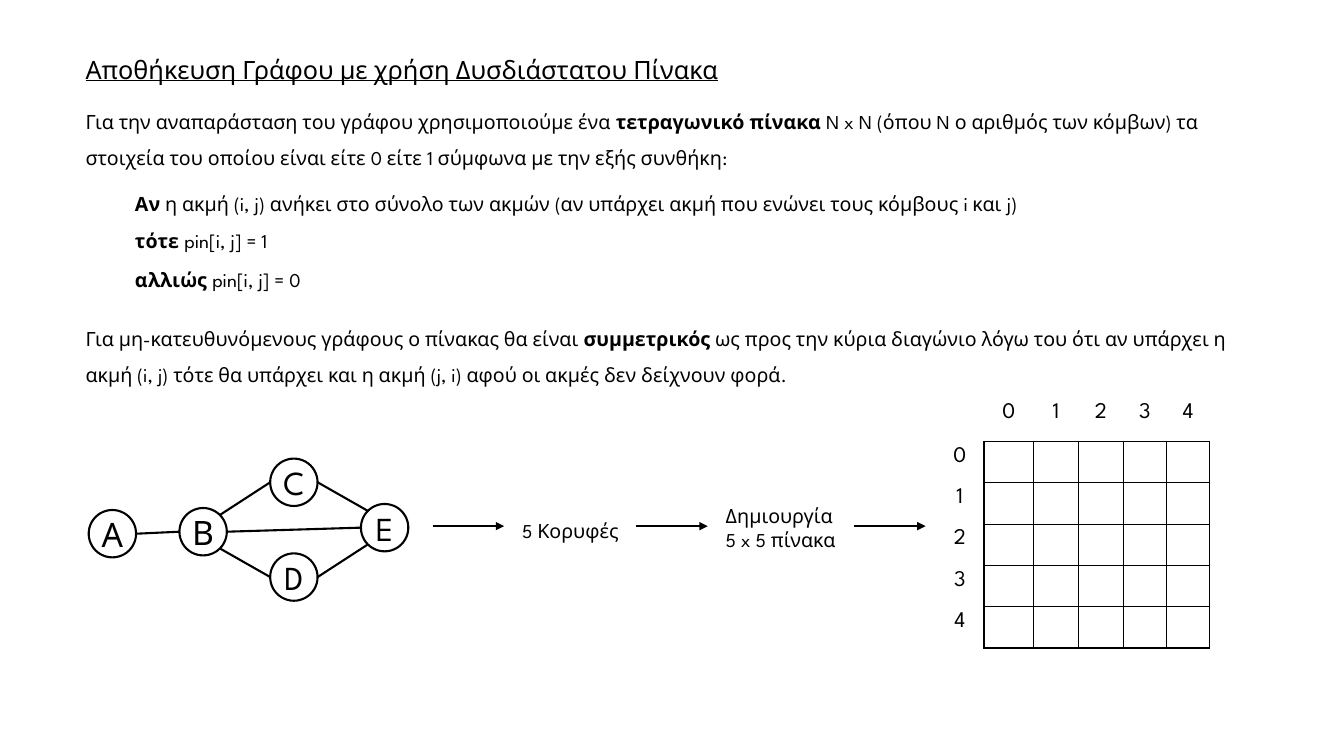
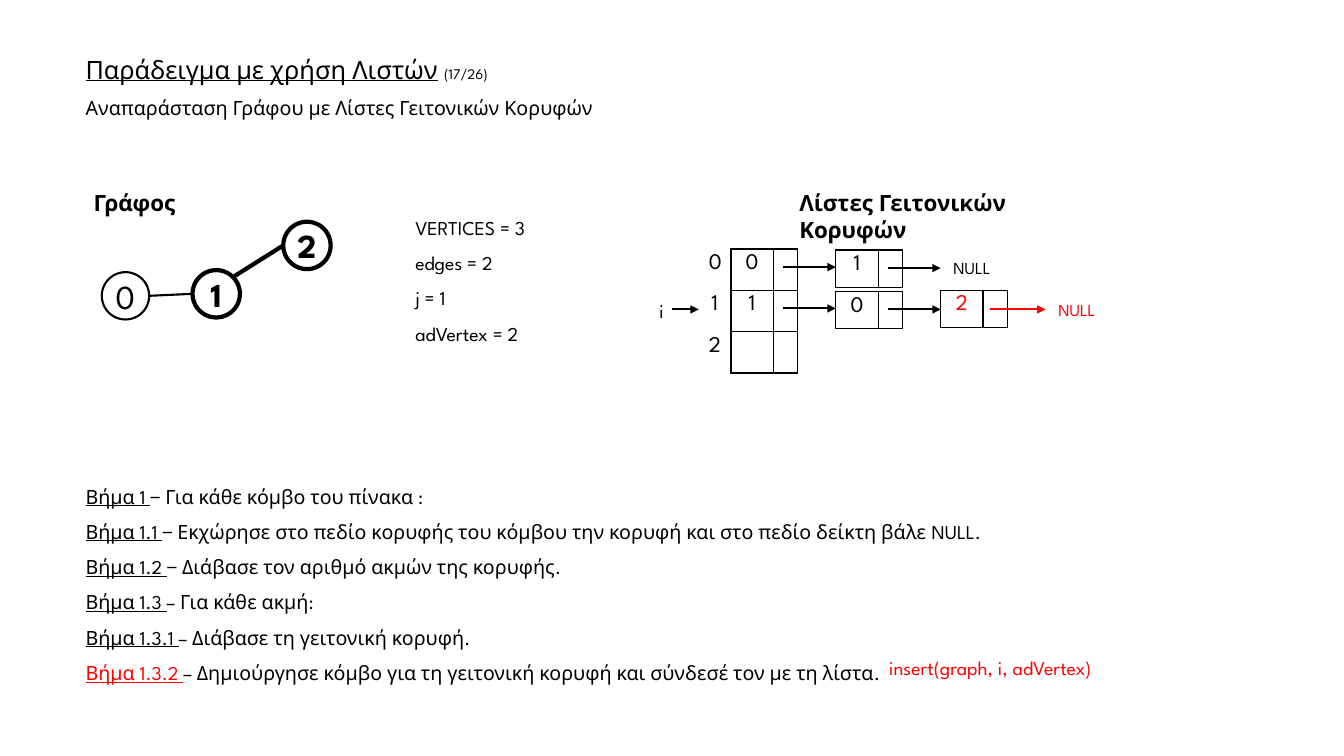
from math import cos, radians, sin

from lxml import etree
from pptx import Presentation
from pptx.dml.color import RGBColor
from pptx.enum.shapes import MSO_CONNECTOR, MSO_SHAPE
from pptx.enum.text import MSO_ANCHOR, PP_ALIGN
from pptx.oxml.ns import qn
from pptx.util import Inches, Pt

STRAIGHT = MSO_CONNECTOR.STRAIGHT
ELLIPSE = MSO_SHAPE.OVAL
MIDDLE = MSO_ANCHOR.MIDDLE
CENTER = PP_ALIGN.CENTER
LEFT = PP_ALIGN.LEFT

FONT = "League Spartan"
BLACK = "000000"
RED = "FF0000"
MARGIN, TITLE_TOP, TITLE_WIDTH = 0.75, 0.52, 11.83
NODE_SIZE = 0.47

BOLD = {"bold": True}
UNDERLINE = {"underline": True}
TITLE = {"size": 18, "underline": True}
HEADING = {"size": 16, "bold": True}

MATRIX_TITLE = [
    [("Αποθήκευση Γράφου με χρήση Δυσδιάστατου Πίνακα", TITLE)],
    [("Για την αναπαράσταση του γράφου χρησιμοποιούμε ένα ", {}),
     ("τετραγωνικό πίνακα ", BOLD),
     ("N x N (όπου N ο αριθμός των κόμβων) τα στοιχεία του οποίου είναι "
      "είτε 0 είτε 1 σύμφωνα με την εξής συνθήκη:", {})],
]
CONDITIONS = [
    (1.81, 9.15, 0.36, 1.2, "Αν", " η ακμή (i, j) ανήκει στο σύνολο των ακμών "
     "(αν υπάρχει ακμή που ενώνει τους κόμβους i και j)"),
    (2.22, 6.69, 0.34, 1, "τότε ", "pin[i, j] = 1"),
    (2.61, 6.69, 0.34, 1, "αλλιώς ", "pin[i, j] = 0"),
]
SYMMETRY = [[
    ("Για μη-κατευθυνόμενους γράφους ο πίνακας θα είναι ", {}),
    ("συμμετρικός", BOLD),
    (" ως προς την κύρια διαγώνιο λόγω του ότι αν υπάρχει η ακμή (i, j) τότε "
     "θα υπάρχει και η ακμή (j, i) αφού οι ακμές δεν δείχνουν φορά.", {}),
]]
MATRIX_NODES = {
    "Α": (0.88, 5.06, False), "Β": (1.78, 5.04, False),
    "C": (2.68, 4.55, False), "D": (2.68, 5.49, False), "E": (3.58, 5, False),
}
MATRIX_EDGES = [
    ("Α", 0, "Β", 180), ("Β", -45, "C", 180), ("Β", 45, "D", 180),
    ("Β", 0, "E", 180), ("C", 0, "E", -135), ("D", 0, "E", 135),
]
FLOW_STEPS = [
    ("5 Κορυφές", 5.08, 4.98, 0.41, 1.5),
    ("Δημιουργία 5 x 5 πίνακα", 7.1, 4.95, 0.57, 1),
]
FLOW_ARROWS = [4.29, 6.31, 8.47]
VERTEX_COUNT = 5

LIST_TITLE = [
    [("Παράδειγμα με χρήση Λιστών", TITLE), (" ", {"size": 18}),
     ("(17/26)", {"size": 10.5})],
    [("Αναπαράσταση Γράφου με Λίστες Γειτονικών Κορυφών", {})],
]
HEADINGS = [("Γράφος", 0.83, 1.08), ("Λίστες Γειτονικών Κορυφών", 7.83, 3.25)]
VARIABLES = ["VERTICES = 3", "edges = 2", "j = 1", "adVertex = 2"]
LIST_NODES = {
    "0": (1.01, 2.7, False), "1": (1.91, 2.68, True), "2": (2.81, 2.2, True),
}
LIST_EDGES = [("0", 0, "1", 180), ("1", -45, "2", 180)]
VERTEX_ROWS = [["0", "0", ""], ["1", "1", ""], ["2", "", ""]]
LIST_CELLS = [
    ("1", 8.29, 2.48, BLACK), ("0", 8.29, 2.89, BLACK), ("2", 9.33, 2.88, RED),
]
LIST_ARROWS = [
    (6.67, 6.93, 3.07, BLACK),
    (7.77, 8.29, 2.65, BLACK), (8.81, 9.33, 2.66, BLACK),
    (7.77, 8.29, 3.06, BLACK), (8.81, 9.33, 3.07, BLACK),
    (9.82, 10.37, 3.07, RED),
]
LIST_ENDS = [(9.33, 2.51, BLACK), (10.37, 2.92, RED)]
STEPS = [
    ("Βήμα 1 ", "− Για κάθε κόμβο του πίνακα :", BLACK),
    ("Βήμα 1.1 ", "− Εκχώρησε στο πεδίο κορυφής του κόμβου την κορυφή και "
     "στο πεδίο δείκτη βάλε NULL.", BLACK),
    ("Βήμα 1.2 ", "− Διάβασε τον αριθμό ακμών της κορυφής.", BLACK),
    ("Βήμα 1.3 ", "– Για κάθε ακμή:", BLACK),
    ("Βήμα 1.3.1 ", "– Διάβασε τη γειτονική κορυφή.", BLACK),
    ("Βήμα 1.3.2 ", "– Δημιούργησε κόμβο για τη γειτονική κορυφή και "
     "σύνδεσέ τον με τη λίστα.", RED),
]


def rgb(color):
    return RGBColor.from_string(color)


def add_span(para, text, size=14, color=BLACK, bold=False, underline=False):
    span = para.add_run()
    span.text = text
    font = span.font
    font.name, font.size, font.color.rgb = FONT, Pt(size), rgb(color)
    font.bold, font.underline = bold, underline


def add_text(page, left, top, width, height, paragraphs, spacings=(1,),
             before=0, align=LEFT):
    box = page.shapes.add_textbox(
        Inches(left), Inches(top), Inches(width), Inches(height))
    frame = box.text_frame
    frame.word_wrap = True
    for index, spans in enumerate(paragraphs):
        para = frame.add_paragraph() if index else frame.paragraphs[0]
        para.alignment = align
        para.line_spacing = float(spacings[index % len(spacings)])
        if index:
            para.space_before = Pt(before)
        for text, style in spans:
            add_span(para, text, **style)


def add_title(page, paragraphs, height, spacings):
    add_text(page, MARGIN, TITLE_TOP, TITLE_WIDTH, height, paragraphs,
             spacings, before=10)


def add_line(page, start, end, color=BLACK, weight=1.5, arrow=False):
    line = page.shapes.add_connector(
        STRAIGHT, *[Inches(value) for value in (*start, *end)])
    line.line.color.rgb = rgb(color)
    line.line.width = Pt(weight)
    if arrow:
        outline = line.line._get_or_add_ln()
        etree.SubElement(outline, qn("a:tailEnd"), type="triangle")
    etree.SubElement(line._element.spPr, qn("a:effectLst"))


def add_graph(page, nodes, edges):
    def rim(name, angle):
        left, top, _ = nodes[name]
        radius = NODE_SIZE / 2
        return (left + radius * (1 + cos(radians(angle))),
                top + radius * (1 + sin(radians(angle))))

    for first, first_angle, second, second_angle in edges:
        strong = nodes[first][2] and nodes[second][2]
        add_line(page, rim(first, first_angle), rim(second, second_angle),
                 weight=3 if strong else 1.5)
    for name, (left, top, strong) in nodes.items():
        node = page.shapes.add_shape(
            ELLIPSE, Inches(left), Inches(top),
            Inches(NODE_SIZE), Inches(NODE_SIZE))
        node.shadow.inherit = False
        node.fill.background()
        node.line.color.rgb = rgb(BLACK)
        node.line.width = Pt(3 if strong else 1.5)
        frame = node.text_frame
        frame.word_wrap = False
        frame.vertical_anchor = MIDDLE
        frame.margin_left = frame.margin_right = 0
        frame.margin_top = frame.margin_bottom = 0
        frame.paragraphs[0].alignment = CENTER
        add_span(frame.paragraphs[0], name, size=24, bold=strong)


def set_borders(cell, sides):
    properties = cell._tc.get_or_add_tcPr()
    for index, side in enumerate("LRTB"):
        border = etree.Element(qn("a:ln" + side), w=str(Pt(1)))
        if side in sides:
            fill = etree.SubElement(border, qn("a:solidFill"))
            etree.SubElement(fill, qn("a:srgbClr"), val=BLACK)
        else:
            etree.SubElement(border, qn("a:noFill"))
        properties.insert(index, border)


def add_grid(page, left, top, widths, heights, rows, color=BLACK,
             header_rows=0, header_columns=0):
    table = page.shapes.add_table(
        len(rows), len(widths), Inches(left), Inches(top),
        Inches(sum(widths)), Inches(sum(heights))).table
    table.first_row = table.horz_banding = False
    for column, width in zip(table.columns, widths):
        column.width = Inches(width)
    for row_index, (row, height) in enumerate(zip(rows, heights)):
        table.rows[row_index].height = Inches(height)
        for column_index, text in enumerate(row):
            cell = table.cell(row_index, column_index)
            cell.fill.background()
            above = row_index < header_rows
            beside = column_index < header_columns
            if above or beside:
                last_row = row_index == header_rows - 1
                last_column = column_index == header_columns - 1
                sides = ("B" if last_row and not beside else "") + (
                    "R" if last_column and not above else "")
            else:
                sides = "LRTB"
            set_borders(cell, sides)
            if text:
                para = cell.text_frame.paragraphs[0]
                para.alignment = CENTER
                add_span(para, text, size=16, color=color)
            else:
                cell.margin_top = cell.margin_bottom = 0


def build_matrix_page(page):
    add_title(page, MATRIX_TITLE, 1.47, (0.9, 1.5))
    for top, width, height, spacing, keyword, rest in CONDITIONS:
        add_text(page, 1.24, top, width, height,
                 [[(keyword, BOLD), (rest, {})]], (spacing,))
    add_text(page, MARGIN, 3.08, TITLE_WIDTH, 0.76, SYMMETRY, (1.5,))
    add_graph(page, MATRIX_NODES, MATRIX_EDGES)
    for text, left, top, height, spacing in FLOW_STEPS:
        add_text(page, left, top, 1.37, height, [[(text, {})]], (spacing,))
    for left in FLOW_ARROWS:
        add_line(page, (left, 5.22), (left + 0.71, 5.22), arrow=True)
    labels = [str(number) for number in range(VERTEX_COUNT)]
    rows = [["", *labels]] + [[label] + [""] * VERTEX_COUNT for label in labels]
    add_grid(page, 9.28, 3.95, [0.48, 0.49, 0.45, 0.44, 0.43, 0.43],
             [0.43] + [0.41] * VERTEX_COUNT, rows,
             header_rows=1, header_columns=1)


def build_list_page(page):
    add_title(page, LIST_TITLE, 1.05, (0.9,))
    for text, left, width in HEADINGS:
        add_text(page, left, 1.83, width, 0.37, [[(text, HEADING)]])
    add_graph(page, LIST_NODES, LIST_EDGES)
    add_text(page, 4.02, 2.12, 2.22, 1.53,
             [[(text, {})] for text in VARIABLES], (0.9,), before=10)
    add_text(page, 6.44, 2.92, 0.25, 0.34, [[("i", {})]])
    add_grid(page, 6.93, 2.47, [0.32, 0.42, 0.23], [0.41] * 3, VERTEX_ROWS,
             header_columns=1)
    for value, left, top, color in LIST_CELLS:
        add_grid(page, left, top, [0.42, 0.23], [0.37], [[value, ""]], color)
    for start, end, height, color in LIST_ARROWS:
        add_line(page, (start, height), (end, height), color, arrow=True)
    for left, top, color in LIST_ENDS:
        add_text(page, left, top, 0.62, 0.3,
                 [[("NULL", {"size": 12, "color": color})]], align=CENTER)
    add_text(page, MARGIN, 4.64, 12.35, 2.18,
             [[(label, {**UNDERLINE, "color": color}), (rest, {})]
              for label, rest, color in STEPS], (1.5,))
    add_text(page, 8.72, 6.48, 3.53, 0.39,
             [[("insert(graph, i, adVertex)", {"color": RED})]], (0.9,))


def main():
    deck = Presentation()
    deck.slide_width, deck.slide_height = Inches(13.33), Inches(7.5)
    for build in (build_matrix_page, build_list_page):
        build(deck.slides.add_slide(deck.slide_layouts[6]))
    deck.save("out.pptx")


if __name__ == "__main__":
    main()
